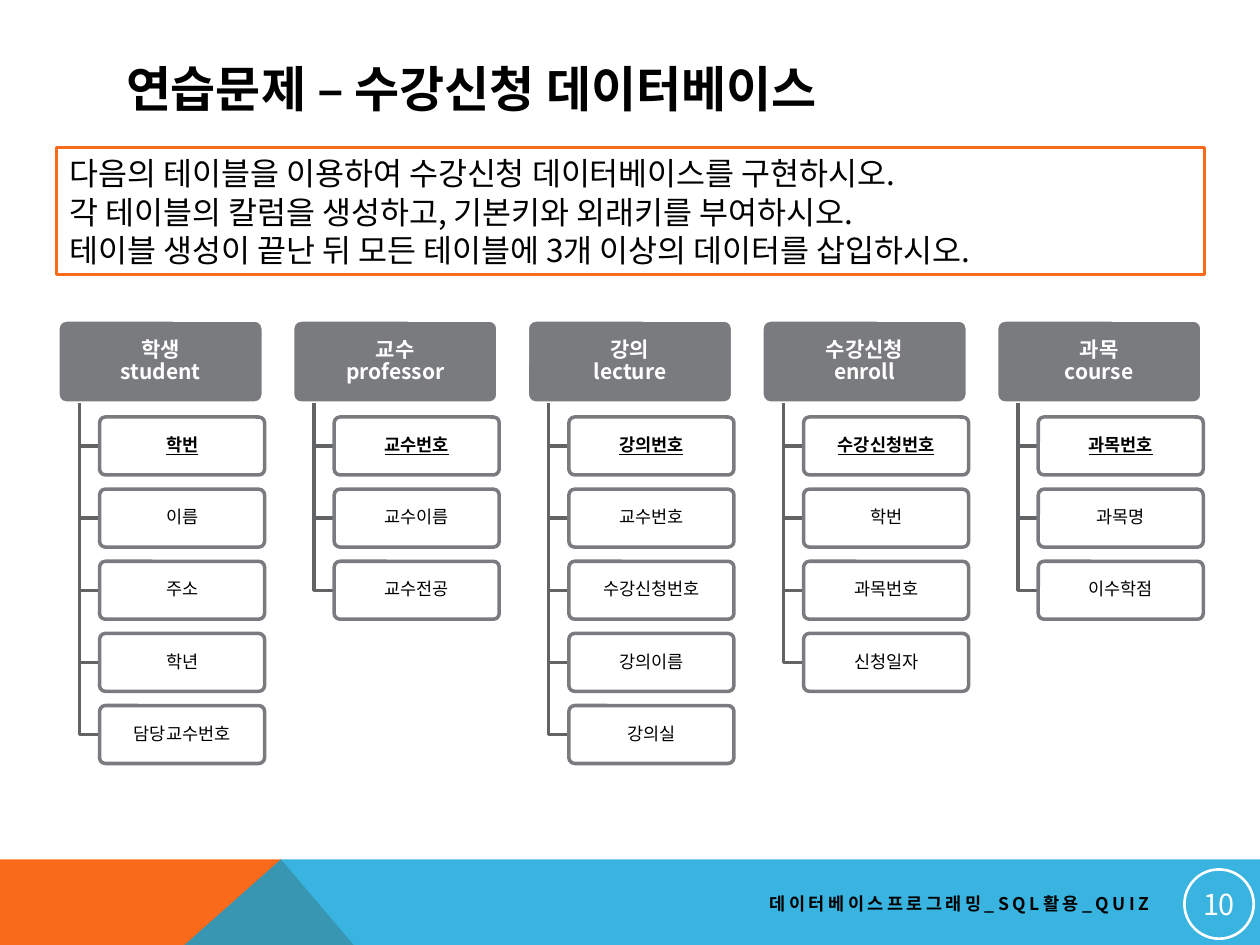
"""Build the course registration database exercise slide."""
from copy import deepcopy
from dataclasses import dataclass

from lxml import etree
from pptx import Presentation
from pptx import util as u
from pptx.dml.color import RGBColor
from pptx.enum import shapes, text
from pptx.oxml.ns import qn

WHITE = RGBColor(0xFF, 0xFF, 0xFF)
BLACK = RGBColor(0x00, 0x00, 0x00)
ORANGE = RGBColor(0xF9, 0x6A, 0x1B)
BLUE = RGBColor(0x08, 0xA1, 0xD9)
GRAY = RGBColor(0x79, 0x7B, 0x7E)
DARK_GRAY = RGBColor(0x61, 0x63, 0x65)
FONT = "Noto Sans CJK KR"

LEFT, COLUMN_PITCH = 0.46, (7.91 - 0.46) / 4
HEADER_TOP, HEADER_WIDTH, HEADER_HEIGHT = 2.54, 1.63, 0.66
FIELD_TOP, ROW_PITCH = 3.31, (5.6 - 3.31) / 4
FIELD_INDENT, FIELD_WIDTH, FIELD_HEIGHT = 0.33, 1.31, 0.46
TRUNK_INDENT = 0.17

TITLE = {"size": u.Pt(28), "bold": True}
INSTRUCTION = {"size": u.Pt(18)}
HEADER = {"size": u.Pt(12), "bold": True}
FIELD = {"size": u.Pt(10)}
KEY = {**FIELD, "bold": True, "underline": True}
FOOTER = {"size": u.Pt(10), "bold": True}
NUMBER = {"size": u.Pt(16.5)}

CENTER = {"alignment": text.PP_ALIGN.CENTER}
NODE = {**CENTER, "line_spacing": 0.9}


@dataclass
class Entity:
    """A database table whose first field is the primary key."""
    label: str
    name: str
    fields: list[str]


ENTITIES = [
    Entity("학생", "student", ["학번", "이름", "주소", "학년", "담당교수번호"]),
    Entity("교수", "professor", ["교수번호", "교수이름", "교수전공"]),
    Entity("강의", "lecture", ["강의번호", "교수번호", "수강신청번호", "강의이름", "강의실"]),
    Entity("수강신청", "enroll", ["수강신청번호", "학번", "과목번호", "신청일자"]),
    Entity("과목", "course", ["과목번호", "과목명", "이수학점"]),
]
INSTRUCTIONS = [
    "다음의 테이블을 이용하여 수강신청 데이터베이스를 구현하시오.",
    "각 테이블의 칼럼을 생성하고, 기본키와 외래키를 부여하시오.",
    "테이블 생성이 끝난 뒤 모든 테이블에 3개 이상의 데이터를 삽입하시오.",
]


def write(box, lines: list[str], style: dict, color: RGBColor, layout: dict,
          anchor=text.MSO_ANCHOR.MIDDLE, inset: float | None = None, tracking: int = 0) -> None:
    """Write one paragraph per line with the given formats."""
    frame = box.text_frame
    settings = {"word_wrap": True, "auto_size": text.MSO_AUTO_SIZE.NONE, "vertical_anchor": anchor}
    if inset is not None:
        sides = ("left", "top", "right", "bottom")
        settings |= {f"margin_{side}": u.Inches(inset) for side in sides}
    for name, value in settings.items():
        setattr(frame, name, value)
    for index, line in enumerate(lines):
        para = frame.paragraphs[0] if index == 0 else frame.add_paragraph()
        para.text = line
        for name, value in layout.items():
            setattr(para, name, value)
        for span in para.runs:
            for name, value in {**style, "name": FONT}.items():
                setattr(span.font, name, value)
            span.font.color.rgb = color
            properties = span.font._element
            etree.SubElement(properties, qn("a:ea"), typeface=FONT)
            if tracking:
                properties.set("spc", str(tracking))
        for line_break in para._p.findall(qn("a:br")):
            line_break.append(deepcopy(para.runs[0].font._element))


def paint(box, fill: RGBColor | None, line: RGBColor | None, width: float = 2,
          opacity: int = 100) -> None:
    """Set the fill, opacity and outline and remove the shadow."""
    box.shadow.inherit = False
    if fill is None:
        box.fill.background()
    else:
        box.fill.solid()
        box.fill.fore_color.rgb = fill
        if opacity < 100:
            color = box._element.spPr.find(qn("a:solidFill"))[0]
            etree.SubElement(color, qn("a:alpha"), val=str(opacity * 1000))
    if line is None:
        box.line.fill.background()
    else:
        box.line.color.rgb = line
        box.line.width = u.Pt(width)


def add_box(page, kind, left: float, top: float, width: float, height: float):
    """Add a preset shape measured in inches."""
    return page.shapes.add_shape(kind, *map(u.Inches, (left, top, width, height)))


def add_outline(page, points: list[tuple[float, float]], close: bool):
    """Add a freeform through points measured in inches."""
    start, *rest = [(u.Inches(x), u.Inches(y)) for x, y in points]
    builder = page.shapes.build_freeform(*start)
    builder.add_line_segments(rest, close=close)
    return builder.convert_to_shape()


def add_node(page, left: float, top: float, width: float, height: float):
    """Add a rounded box of the table diagram."""
    box = add_box(page, shapes.MSO_SHAPE.ROUNDED_RECTANGLE, left, top, width, height)
    box.adjustments[0] = 0.1
    return box


def add_entity(page, entity: Entity, left: float) -> None:
    """Draw a table header with its fields hanging below."""
    header = add_node(page, left, HEADER_TOP, HEADER_WIDTH, HEADER_HEIGHT)
    paint(header, GRAY, WHITE)
    layout = {**NODE, "space_after": u.Pt(4.2)}
    write(header, [f"{entity.label}\v{entity.name}"], HEADER, WHITE, layout, inset=0.04)
    trunk, field_left = left + TRUNK_INDENT, left + FIELD_INDENT
    for row, field in enumerate(entity.fields):
        top = FIELD_TOP + row * ROW_PITCH
        middle = top + FIELD_HEIGHT / 2
        corners = [(trunk, HEADER_TOP + HEADER_HEIGHT), (trunk, middle), (field_left, middle)]
        paint(add_outline(page, corners, close=False), None, DARK_GRAY)
        box = add_node(page, field_left, top, FIELD_WIDTH, FIELD_HEIGHT)
        paint(box, WHITE, GRAY, opacity=90)
        layout = {**NODE, "space_after": u.Pt(3.5)}
        write(box, [field], FIELD if row else KEY, BLACK, layout, inset=0.03)


def add_footer(page) -> None:
    """Draw the bottom band, the course name and the page number."""
    wedge = add_outline(page, [(0, 8.8), (0, 6.82), (2.23, 6.82), (3.91, 8.8)], close=True)
    paint(wedge, ORANGE, None)
    band = add_outline(page, [(0, 8.8), (2.23, 6.82), (10, 6.82), (10, 8.8)], close=True)
    paint(band, BLUE, None, opacity=80)
    course = page.shapes.add_textbox(*map(u.Inches, (3.58, 7.02, 5.64, 0.3)))
    write(course, ["데이터베이스프로그래밍_SQL활용_QUIZ"], FOOTER, BLACK,
          {"alignment": text.PP_ALIGN.RIGHT}, tracking=200)
    badge = add_box(page, shapes.MSO_SHAPE.OVAL, 9.4, 6.9, 0.55, 0.55)
    paint(badge, None, WHITE, width=1.5)
    write(badge, ["10"], NUMBER, WHITE, CENTER, inset=0.01)


def build() -> None:
    """Build and save the deck."""
    deck = Presentation()
    deck.slide_width, deck.slide_height = u.Inches(10), u.Inches(7.5)
    page = deck.slides.add_slide(deck.slide_layouts[5])
    add_footer(page)
    title = page.shapes.title
    place = {"left": 0.9, "top": 0.4, "width": 8.22, "height": 0.6}
    for name, value in place.items():
        setattr(title, name, u.Inches(value))
    left_aligned = {"alignment": text.PP_ALIGN.LEFT}
    write(title, ["연습문제 – 수강신청 데이터베이스"], TITLE, BLACK, left_aligned)
    task = add_box(page, shapes.MSO_SHAPE.RECTANGLE, 0.45, 1.17, 9.11, 1.01)
    paint(task, WHITE, ORANGE)
    write(task, INSTRUCTIONS, INSTRUCTION, BLACK,
          {**left_aligned, "line_spacing": u.Pt(22)}, anchor=text.MSO_ANCHOR.TOP)
    for column, entity in enumerate(ENTITIES):
        add_entity(page, entity, LEFT + column * COLUMN_PITCH)
    deck.save("out.pptx")


build()
